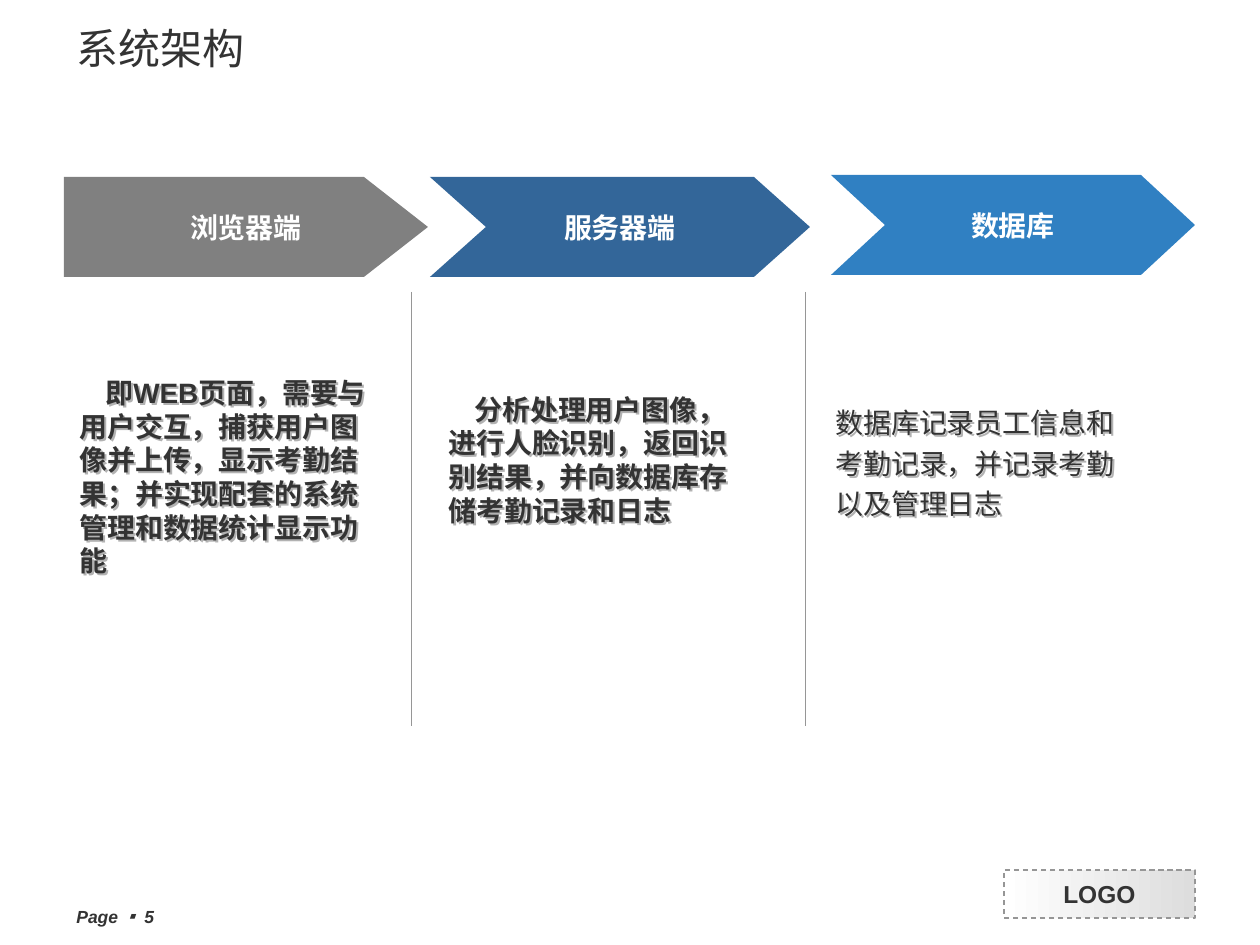
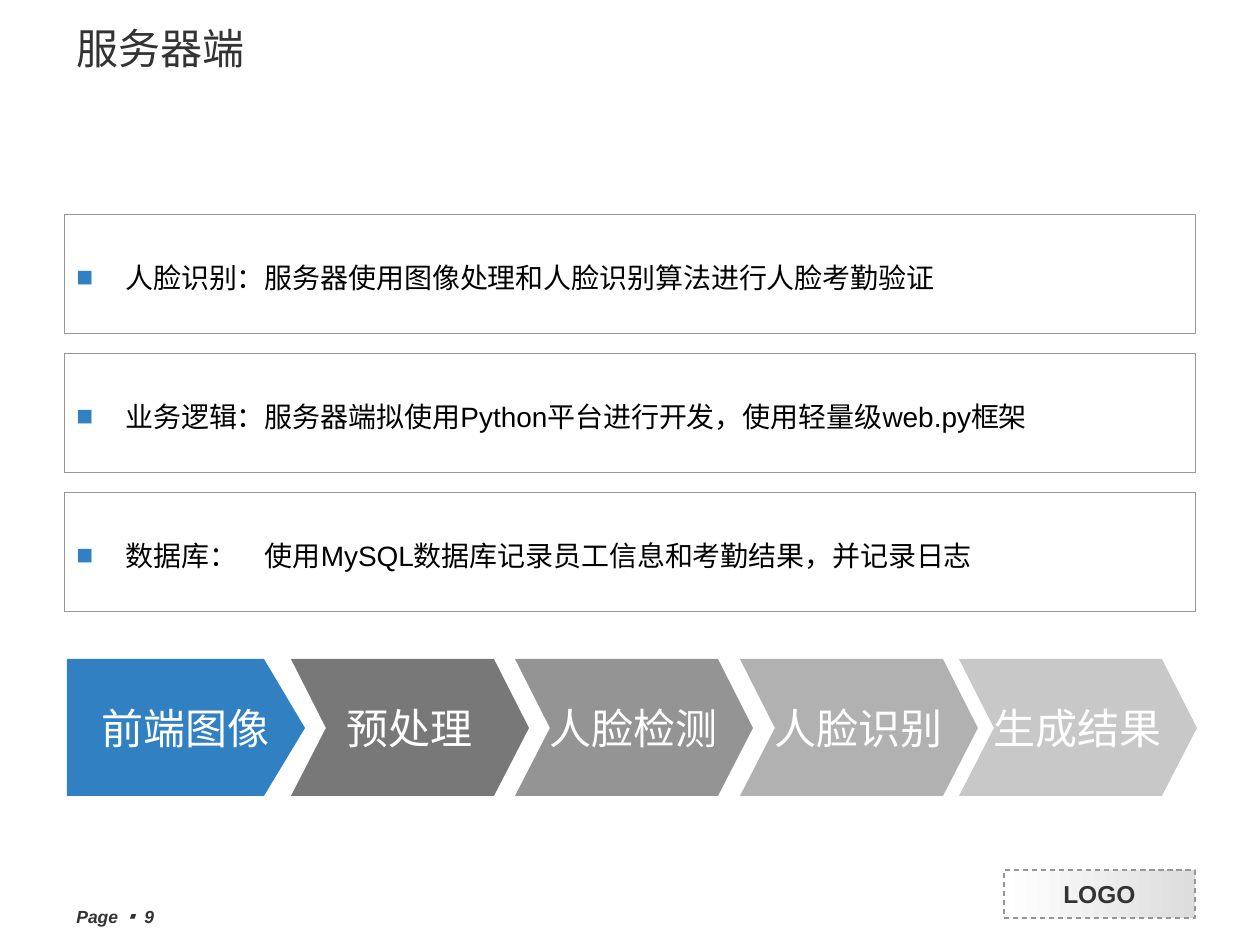
from pptx import Presentation
from pptx.dml.color import RGBColor
from pptx.enum.dml import MSO_LINE
from pptx.enum.shapes import MSO_CONNECTOR, MSO_SHAPE
from pptx.enum.text import MSO_ANCHOR as ANCHOR, PP_ALIGN as ALIGN
from pptx.oxml import parse_xml
from pptx.oxml.ns import nsdecls
from pptx.util import Inches, Pt

SCALE = Inches(10) / 1260  # EMU in one px

LATIN_FONT = "Arial"
CJK_FONT = "Noto Sans CJK JP"

WHITE = RGBColor(0xFF, 0xFF, 0xFF)
BLACK = RGBColor(0x00, 0x00, 0x00)
INK = RGBColor(0x33, 0x33, 0x33)
RULE = RGBColor(0x96, 0x96, 0x96)
LIGHT = RGBColor(0xDD, 0xDD, 0xDD)
BLUE = RGBColor(0x30, 0x80, 0xC2)
NAVY = RGBColor(0x33, 0x66, 0x99)
GRAY = RGBColor(0x80, 0x80, 0x80)
STEP_GRAYS = [RGBColor(tone, tone, tone) for tone in (0x78, 0x94, 0xB1, 0xC8)]

MARGIN = 64
CONTENT_WIDTH = 1131


def px(*lengths):
    return [round(length * SCALE) for length in lengths]


def add_xml(parent, markup):
    """Append one DrawingML element, given without its namespace declaration."""
    head, rest = markup.split(">", 1)
    slash = "/" if head.endswith("/") else ""
    parent.append(parse_xml(f"{head.rstrip('/')} {nsdecls('a')}{slash}>{rest}"))


def style_para(para, size, color, bold=False, italic=False, align=ALIGN.LEFT):
    para.alignment = align
    font = para.font
    font.size, font.bold, font.italic = Pt(size), bold, italic
    font.color.rgb = color
    font.name = LATIN_FONT
    add_xml(font._element, f'<a:ea typeface="{CJK_FONT}"/>')


def add_text(page, bounds, anchor=ANCHOR.MIDDLE):
    """Return an empty wrapping text box and its first paragraph."""
    box = page.shapes.add_textbox(*px(*bounds))
    box.text_frame.word_wrap = True
    box.text_frame.vertical_anchor = anchor
    return box, box.text_frame.paragraphs[0]


def label_shape(shape, text, size, color, bold):
    """Centre one unwrapped line in a shape."""
    frame = shape.text_frame
    frame.word_wrap = False
    frame.vertical_anchor = ANCHOR.MIDDLE
    frame.text = text
    style_para(frame.paragraphs[0], size, color, bold, align=ALIGN.CENTER)


def add_arrow(page, bounds, tip, notch, color, text, size, bold=False):
    """Draw a block arrow; a notch of 0 gives it a straight back."""
    left, top, width, height = bounds
    right, middle, bottom = left + width, top + height / 2, top + height
    points = [(right - tip, top), (right, middle), (right - tip, bottom), (left, bottom)]
    if notch:
        points.append((left + notch, middle))
    builder = page.shapes.build_freeform(left, top, scale=SCALE)
    builder.add_line_segments(points, close=True)
    arrow = builder.convert_to_shape()
    arrow.shadow.inherit = False
    arrow.fill.solid()
    arrow.fill.fore_color.rgb = color
    arrow.line.fill.background()
    label_shape(arrow, text, size, WHITE, bold)


def add_divider(page, x, top, bottom):
    line = page.shapes.add_connector(MSO_CONNECTOR.STRAIGHT, *px(x, top, x, bottom))
    line.line.color.rgb = RULE
    line.line.width = Pt(0.25)
    add_xml(line._element.spPr, "<a:effectLst/>")


def add_description(page, bounds, text, bold=True, first_indent=0, spacing=1.0):
    """Add a column's text with a soft shadow behind the letters."""
    box, para = add_text(page, bounds)
    add_xml(box._element.spPr,
            '<a:effectLst><a:outerShdw dist="20000" dir="2700000">'
            '<a:srgbClr val="808080"><a:alpha val="60000"/></a:srgbClr>'
            '</a:outerShdw></a:effectLst>')
    para.text = text
    para.line_spacing = spacing
    para._p.get_or_add_pPr().set("indent", str(px(first_indent)[0]))
    style_para(para, 16, INK, bold)


def add_bullet_panel(page, bounds, text):
    panel = page.shapes.add_shape(MSO_SHAPE.RECTANGLE, *px(*bounds))
    panel.shadow.inherit = False
    panel.fill.background()
    panel.line.color.rgb = RULE
    panel.line.width = Pt(0.25)
    frame = panel.text_frame
    frame.word_wrap = True
    frame.vertical_anchor = ANCHOR.MIDDLE
    frame.text = text
    para = frame.paragraphs[0]
    para.line_spacing = 1.2
    props = para._p.get_or_add_pPr()
    hang, = px(49)
    props.set("marL", str(hang))
    props.set("indent", str(-hang))
    add_xml(props, f'<a:buClr><a:srgbClr val="{BLUE}"/></a:buClr>')
    add_xml(props, f'<a:buFont typeface="{LATIN_FONT}"/>')
    add_xml(props, '<a:buChar char="■"/>')
    style_para(para, 16, BLACK)


def add_logo_box(page):
    box = page.shapes.add_shape(MSO_SHAPE.RECTANGLE, *px(1004, 870, 191, 48))
    box.shadow.inherit = False
    box.fill.gradient()
    box.fill.gradient_angle = 0
    for stop, color in zip(box.fill.gradient_stops, (WHITE, LIGHT)):
        stop.color.rgb = color
    box.line.color.rgb = RULE
    box.line.width = Pt(0.75)
    box.line.dash_style = MSO_LINE.DASH
    label_shape(box, "LOGO", 14, INK, True)


def add_page(deck, title, number):
    """Add a slide with the shared title, logo box and page number."""
    page = deck.slides.add_slide(deck.slide_layouts[6])
    add_logo_box(page)
    _, heading = add_text(page, (MARGIN, 0, 804, 96))
    heading.text = title
    style_para(heading, 24, INK)
    _, footer = add_text(page, (MARGIN, 900, 198, 28), ANCHOR.TOP)
    for text in ("Page ", "▪ ", str(number)):
        span = footer.add_run()
        span.text = text
        if "▪" in text:
            span.font.name = CJK_FONT
    style_para(footer, 10, INK, bold=True, italic=True)
    return page


def build_architecture(deck):
    page = add_page(deck, "系统架构", 5)
    add_arrow(page, (MARGIN, 177, 364, 100), 64, 0, GRAY, "浏览器端", 16, True)
    add_arrow(page, (430, 177, 380, 100), 56, 56, NAVY, "服务器端", 16, True)
    add_arrow(page, (831, 175, 364, 100), 54, 54, BLUE, "数据库", 16, True)
    for x in (411, 805):
        add_divider(page, x, 292, 726)
    add_description(page, (67, 210, 319, 533),
                    "即WEB页面，需要与用户交互，捕获用户图像并上传，"
                    "显示考勤结果；并实现配套的系统管理和数据统计显示功能",
                    first_indent=26)
    add_description(page, (436, 193, 319, 533),
                    "分析处理用户图像，进行人脸识别，返回识别结果，"
                    "并向数据库存储考勤记录和日志",
                    first_indent=26)
    add_description(page, (823, 193, 321, 533),
                    "数据库记录员工信息和考勤记录，并记录考勤以及管理日志",
                    bold=False, spacing=1.2)


def build_server(deck):
    page = add_page(deck, "服务器端", 9)
    duties = [
        "人脸识别：服务器使用图像处理和人脸识别算法进行人脸考勤验证",
        "业务逻辑：服务器端拟使用Python平台进行开发，使用轻量级web.py框架",
        "数据库：　使用MySQL数据库记录员工信息和考勤结果，并记录日志",
    ]
    for row, duty in enumerate(duties):
        add_bullet_panel(page, (MARGIN, 214 + 139 * row, CONTENT_WIDTH, 119), duty)

    steps = ["前端图像", "预处理", "人脸检测", "人脸识别", "生成结果"]
    lefts = [67, 291, 515, 740, 959]
    for left, step, color in zip(lefts, steps, [BLUE, *STEP_GRAYS]):
        is_first = left == lefts[0]
        tip, notch = (41, 0) if is_first else (35, 35)
        add_arrow(page, (left, 659, 238, 137), tip, notch, color, step, 24)


def main():
    deck = Presentation()
    deck.slide_width, deck.slide_height = px(1260, 945)
    build_architecture(deck)
    build_server(deck)
    deck.save("out.pptx")


if __name__ == "__main__":
    main()
